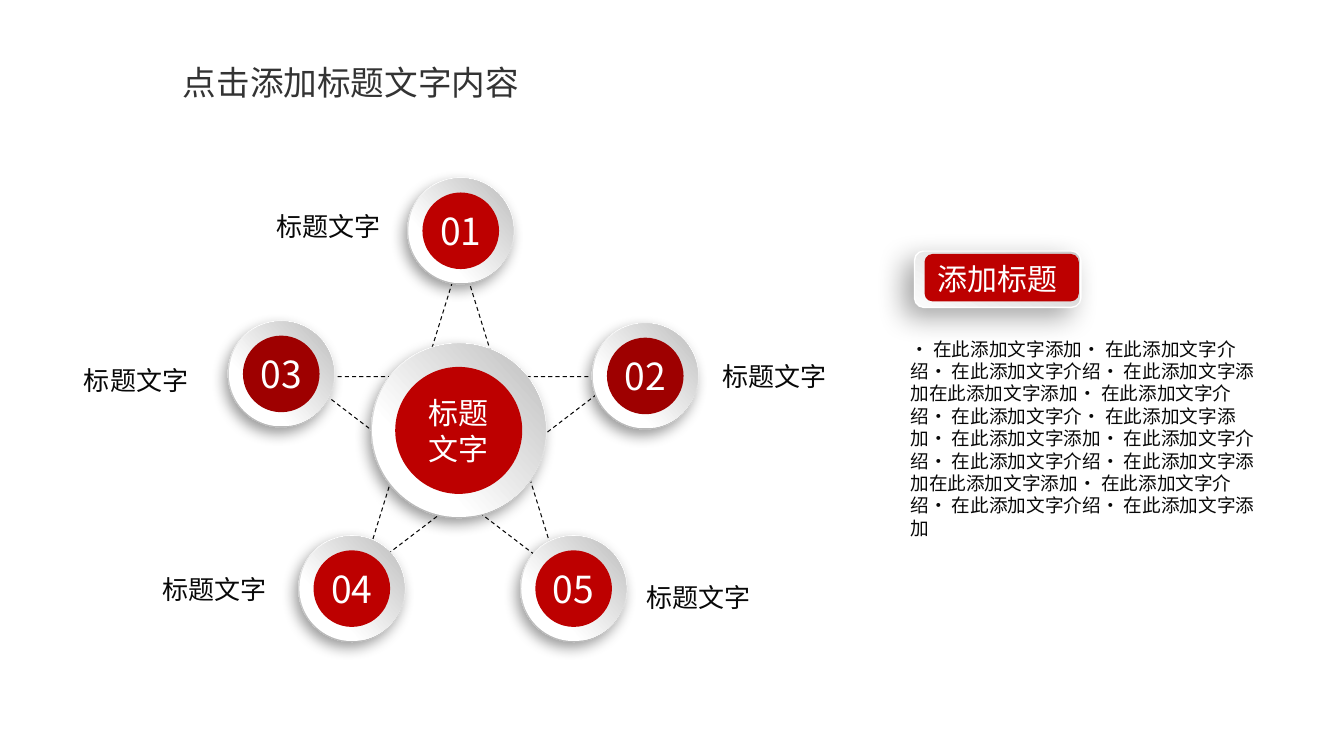
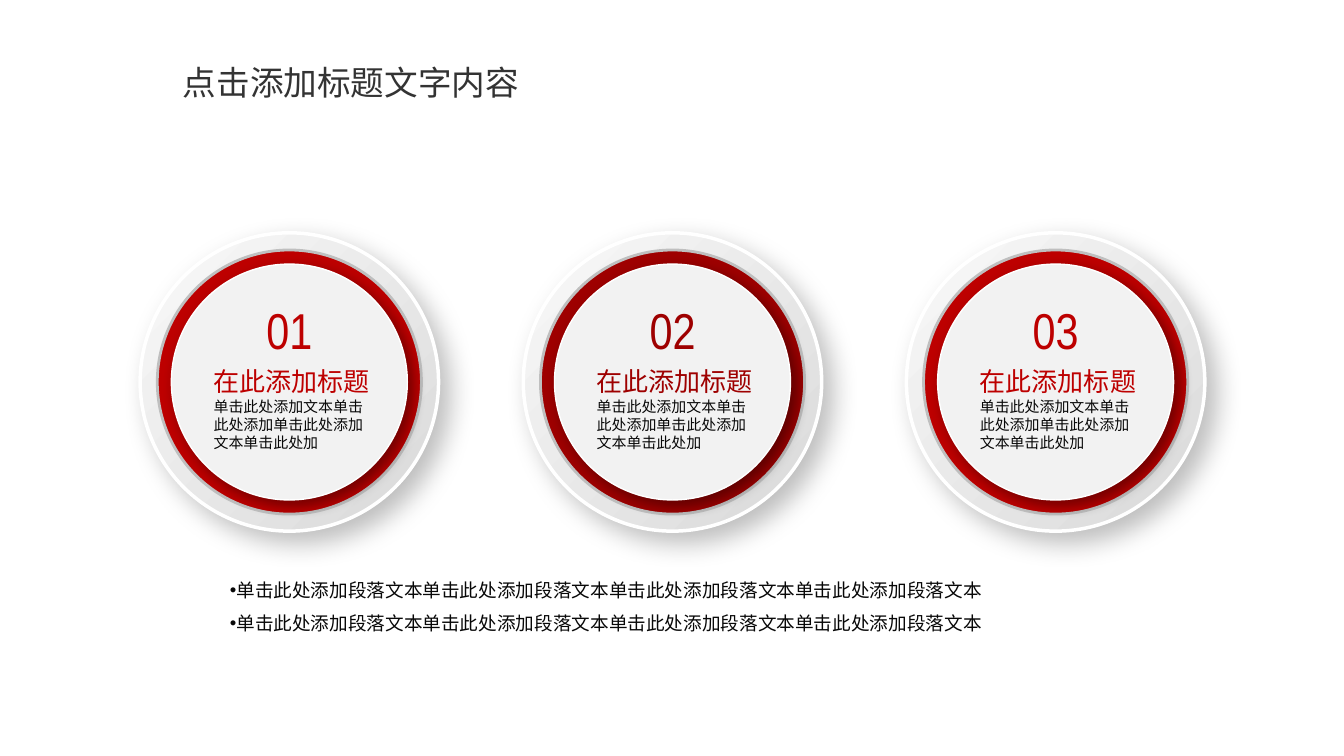
from dataclasses import dataclass
from typing import Optional

from lxml.etree import SubElement
from pptx import Presentation
from pptx.dml.color import RGBColor
from pptx.enum.dml import MSO_LINE
from pptx.enum.shapes import MSO_SHAPE as Preset
from pptx.enum.text import MSO_ANCHOR as Anchor, MSO_AUTO_SIZE as AutoSize, PP_ALIGN as Align
from pptx.oxml.ns import qn
from pptx.shapes.autoshape import Shape
from pptx.slide import Slide
from pptx.util import Emu, Pt

EMU_PER_PX = 9144  # 100 px to the inch


@dataclass(frozen=True)
class Theme:
    font: str = "Noto Sans CJK SC"
    number_font: str = "Arial Narrow"
    red: str = "BD0000"
    dark_red: str = "9E0000"
    ink: str = "080808"
    title_ink: str = "333333"
    white: str = "FFFFFF"
    pale: str = "F2F2F2"
    rim: str = "BFBFBF"
    title_size: float = 24
    big_number_size: float = 36
    node_number_size: float = 26.6
    badge_size: float = 21.4
    label_size: float = 18.6
    body_size: float = 13.3
    small_size: float = 10.7
    line_height: float = 1.2
    bullet_gap: float = 7.5


THEME = Theme()


@dataclass(frozen=True)
class Box:
    left: int
    top: int
    width: int
    height: int

    def inset(self, by: int) -> "Box":
        return Box(self.left + by, self.top + by, self.width - 2 * by, self.height - 2 * by)

    def emu(self) -> tuple[Emu, ...]:
        return tuple(Emu(px * EMU_PER_PX) for px in (self.left, self.top, self.width, self.height))


@dataclass(frozen=True)
class Style:
    size: float
    color: str
    align: Align = Align.LEFT
    font: str = THEME.font


@dataclass(frozen=True)
class Gradient:
    """Two colours with their positions; the angle runs counter-clockwise."""
    start: str
    end: str
    angle: int
    start_at: float = 0
    end_at: float = 1


@dataclass(frozen=True)
class Shadow:
    """Opacity in percent, blur and distance in points, direction clockwise."""
    opacity: int
    blur: int
    distance: int
    direction: int


@dataclass(frozen=True)
class Node:
    text: str
    left: int
    top: int
    color: str
    label_left: int
    label_top: int


@dataclass(frozen=True)
class Dial:
    number: str
    color: str


RIM_GRADIENT = Gradient(THEME.white, "B8B8B8", 253, 0.17, 0.88)
FACE_GRADIENT = Gradient(THEME.white, THEME.rim, 42, 0.29, 0.98)
DIAL_GRADIENT = Gradient("F9F9F9", "D9D9D9", 315)
BADGE_GRADIENT = Gradient("CCCCCC", "FCFCFC", 240)
NODE_SHADOW = Shadow(39, 10, 5, 123)
BADGE_SHADOW = Shadow(34, 20, 10, 136)
DIAL_SHADOW = Shadow(25, 19, 10, 45)
FACE_SHADOW = Shadow(40, 10, 5, 45)

TITLE = "点击添加标题文字内容"
TITLE_BOX = Box(102, 56, 492, 53)

STAR = Box(299, 253, 316, 316)
HUB = Box(368, 340, 174, 174)
NODE_SIZE = 106
LABEL = "标题文字"
NODES = (
    Node("01", 404, 176, THEME.red, 264, 204),
    Node("02", 587, 320, THEME.dark_red, 706, 353),
    Node("03", 226, 318, THEME.dark_red, 73, 357),
    Node("04", 296, 531, THEME.red, 151, 564),
    Node("05", 516, 531, THEME.red, 631, 572),
)
INTRO = (
    "· 在此添加文字添加· 在此添加文字介绍· 在此添加文字介绍· 在此添加文字添加在此添加文字添加"
    "· 在此添加文字介绍· 在此添加文字介· 在此添加文字添加· 在此添加文字添加· 在此添加文字介绍"
    "· 在此添加文字介绍· 在此添加文字添加在此添加文字添加· 在此添加文字介绍· 在此添加文字介绍"
    "· 在此添加文字添加"
)

DIALS = (Dial("01", THEME.red), Dial("02", THEME.dark_red), Dial("03", THEME.red))
DIAL_LEFT, DIAL_TOP, DIAL_SIZE, DIAL_PITCH = 139, 231, 296, 380
DIAL_HEADING = "在此添加标题"
DIAL_TEXT = "单击此处添加文本单击此处添加单击此处添加文本单击此处加"
BULLET = "单击此处添加段落文本" * 4


def write(shape: Shape, lines: list[str], style: Style, wrap: bool = True,
          anchor: Anchor = Anchor.TOP, bullet: Optional[str] = None) -> None:
    frame = shape.text_frame
    frame.auto_size = AutoSize.NONE
    frame.word_wrap = wrap
    frame.vertical_anchor = anchor
    frame.text = "\n".join(lines)
    for index, paragraph in enumerate(frame.paragraphs):
        paragraph.alignment = style.align
        paragraph.line_spacing = Pt(style.size * THEME.line_height)
        paragraph.space_before = Pt(THEME.bullet_gap if index and bullet else 0)
        properties = paragraph._p.get_or_add_pPr()
        properties.set("marL", "0")
        properties.set("indent", "0")
        if bullet:
            SubElement(properties, qn("a:buChar")).set("char", bullet)
        else:
            SubElement(properties, qn("a:buNone"))
        font = paragraph.font
        font.size = Pt(style.size)
        font.name = style.font
        font.color.rgb = RGBColor.from_string(style.color)
        defaults = properties.find(qn("a:defRPr"))
        SubElement(defaults, qn("a:ea")).set("typeface", style.font)


def add_text(slide: Slide, box: Box, text: str, style: Style, wrap: bool = True) -> None:
    write(slide.shapes.add_textbox(*box.emu()), [text], style, wrap)


def fill_placeholder(shape: Shape, box: Box, lines: list[str], style: Style,
                     bullet: Optional[str] = None) -> None:
    shape.left, shape.top, shape.width, shape.height = box.emu()
    write(shape, lines, style, bullet=bullet)


def add_shape(slide: Slide, preset: Preset, box: Box, fill: str | Gradient | None,
              line: Optional[str] = None, line_width: float = 1,
              shadow: Optional[Shadow] = None) -> Shape:
    shape = slide.shapes.add_shape(preset, *box.emu())
    if isinstance(fill, Gradient):
        shape.fill.gradient()
        shape.fill.gradient_angle = fill.angle
        stops = ((fill.start, fill.start_at), (fill.end, fill.end_at))
        for stop, (color, position) in zip(shape.fill.gradient_stops, stops):
            stop.color.rgb = RGBColor.from_string(color)
            stop.position = position
    elif fill:
        shape.fill.solid()
        shape.fill.fore_color.rgb = RGBColor.from_string(fill)
    else:
        shape.fill.background()
    if line:
        shape.line.color.rgb = RGBColor.from_string(line)
        shape.line.width = Pt(line_width)
    else:
        shape.line.fill.background()
    shape.shadow.inherit = False
    if shadow:
        cast_shadow(shape, shadow)
    return shape


def cast_shadow(shape: Shape, shadow: Shadow) -> None:
    effects = shape._element.spPr.find(qn("a:effectLst"))
    outer = SubElement(effects, qn("a:outerShdw"))
    outer.set("blurRad", str(Pt(shadow.blur)))
    outer.set("dist", str(Pt(shadow.distance)))
    outer.set("dir", str(shadow.direction * 60000))
    outer.set("algn", "ctr")
    outer.set("rotWithShape", "0")
    color = SubElement(outer, qn("a:srgbClr"))
    color.set("val", "000000")
    SubElement(color, qn("a:alpha")).set("val", str(shadow.opacity * 1000))


def add_button(slide: Slide, box: Box, border: int, color: str, lines: list[str],
               size: float) -> None:
    """Raised grey disc with a coloured core that carries the text."""
    add_shape(slide, Preset.OVAL, box, RIM_GRADIENT, shadow=NODE_SHADOW)
    add_shape(slide, Preset.OVAL, box.inset(1), FACE_GRADIENT)
    core = add_shape(slide, Preset.OVAL, box.inset(border), color)
    frame = core.text_frame
    frame.margin_left = frame.margin_right = frame.margin_top = frame.margin_bottom = 0
    write(core, lines, Style(size, THEME.white, Align.CENTER), anchor=Anchor.MIDDLE)


def add_dial(slide: Slide, dial: Dial, left: int) -> None:
    box = Box(left, DIAL_TOP, DIAL_SIZE, DIAL_SIZE)
    add_shape(slide, Preset.OVAL, box, DIAL_GRADIENT, THEME.white, 2.5, DIAL_SHADOW)
    add_shape(slide, Preset.OVAL, box.inset(17), dial.color, THEME.rim, 2)
    add_shape(slide, Preset.OVAL, box.inset(31), THEME.pale, THEME.white, 1, FACE_SHADOW)
    add_text(slide, Box(left + 63, DIAL_TOP + 127, 210, 41), DIAL_HEADING,
             Style(THEME.label_size, dial.color))
    add_text(slide, Box(left + 63, DIAL_TOP + 158, 171, 65), DIAL_TEXT,
             Style(THEME.small_size, THEME.ink))
    add_text(slide, Box(left + 107, DIAL_TOP + 61, 82, 70), dial.number,
             Style(THEME.big_number_size, dial.color, Align.CENTER, THEME.number_font))


def add_titled_slide(presentation: Presentation) -> Slide:
    slide = presentation.slides.add_slide(presentation.slide_layouts[1])
    fill_placeholder(slide.shapes.title, TITLE_BOX, [TITLE],
                     Style(THEME.title_size, THEME.title_ink, Align.CENTER))
    return slide


def build_star_slide(presentation: Presentation) -> None:
    slide = add_titled_slide(presentation)
    star = add_shape(slide, Preset.STAR_5_POINT, STAR, None, THEME.ink, 0.75)
    star.line.dash_style = MSO_LINE.DASH
    add_button(slide, HUB, 24, THEME.red, ["标题", "文字"], THEME.badge_size)
    label_style = Style(THEME.label_size, THEME.ink, Align.CENTER)
    for node in NODES:
        add_button(slide, Box(node.left, node.top, NODE_SIZE, NODE_SIZE), 15, node.color,
                   [node.text], THEME.node_number_size)
        add_text(slide, Box(node.label_left, node.label_top, 124, 43), LABEL, label_style,
                 wrap=False)
    fill_placeholder(slide.placeholders[1], Box(893, 330, 369, 257), [INTRO],
                     Style(THEME.body_size, THEME.ink))
    add_shape(slide, Preset.ROUNDED_RECTANGLE, Box(907, 249, 165, 56), BADGE_GRADIENT,
              THEME.white, 1, BADGE_SHADOW)
    add_shape(slide, Preset.ROUNDED_RECTANGLE, Box(917, 252, 153, 47), THEME.red)
    add_text(slide, Box(920, 254, 139, 48), "添加标题",
             Style(THEME.badge_size, THEME.white, Align.CENTER), wrap=False)


def build_dial_slide(presentation: Presentation) -> None:
    slide = add_titled_slide(presentation)
    for index, dial in enumerate(DIALS):
        add_dial(slide, dial, DIAL_LEFT + index * DIAL_PITCH)
    fill_placeholder(slide.placeholders[1], Box(218, 569, 876, 99), [BULLET, BULLET],
                     Style(THEME.body_size, THEME.ink), bullet="•")


def main() -> None:
    presentation = Presentation()
    presentation.slide_width = Emu(1333 * EMU_PER_PX)
    presentation.slide_height = Emu(750 * EMU_PER_PX)
    build_star_slide(presentation)
    build_dial_slide(presentation)
    presentation.save("out.pptx")


if __name__ == "__main__":
    main()
